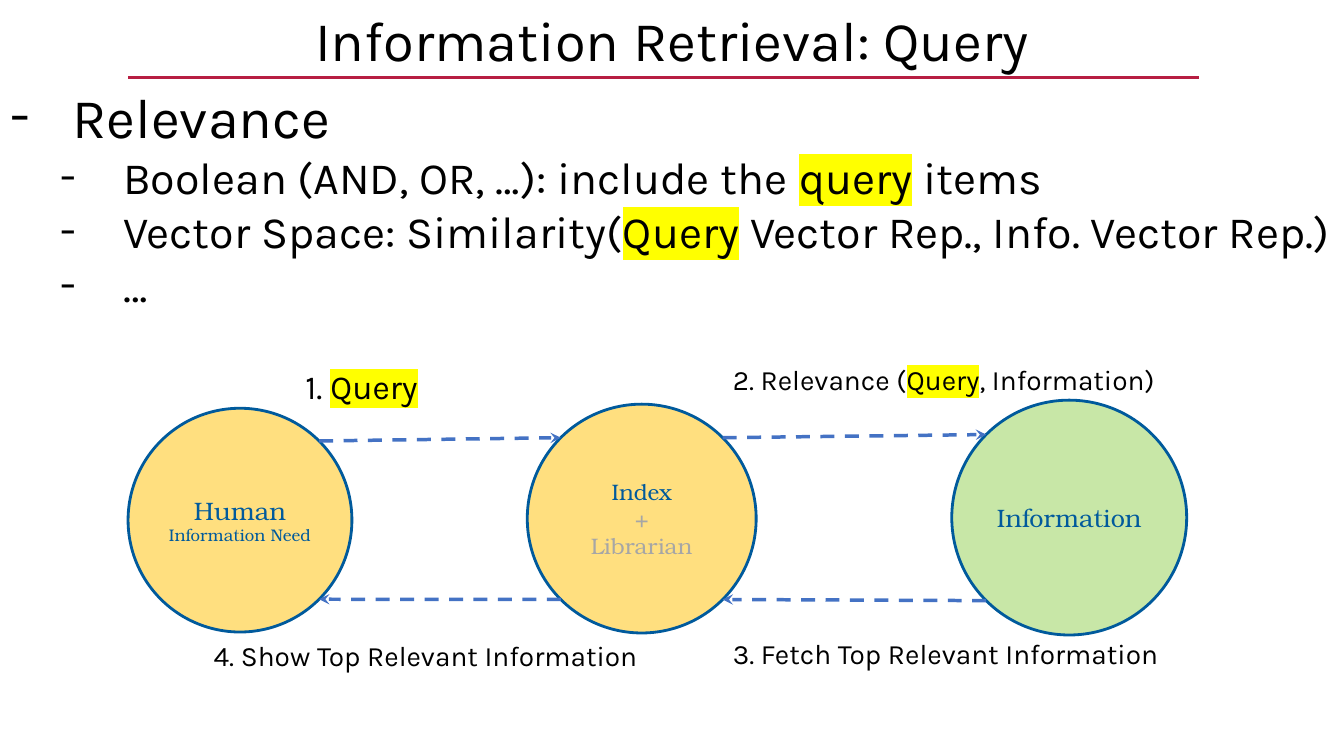
from dataclasses import dataclass
from math import sqrt

from lxml import etree
from pptx import Presentation
from pptx import util as u
from pptx.dml import color
from pptx.enum import dml, shapes, text
from pptx.oxml import ns


@dataclass(frozen=True)
class Theme:
    sans: str = "Karla"
    serif: str = "TeX Gyre Bonum"
    ink: str = "000000"
    rule: str = "B71E42"
    outline: str = "005A9C"
    label: str = "015A9C"
    muted: str = "A6A6A6"
    arrow: str = "4472C4"
    gold: str = "FFC000"
    green: str = "92D050"
    mark: str = "FFFF00"
    heading: int = 40
    item: int = 32
    query: int = 24
    caption: int = 20
    node: int = 18
    index: int = 16
    detail: int = 12


THEME = Theme()


def rgb(value):
    return color.RGBColor.from_string(value)


def add_xml(parent, tag, **attributes):
    return etree.SubElement(parent, ns.qn(tag), attributes)


def write(para, words, size, font=THEME.sans, ink=THEME.ink, align=None):
    """Fill a paragraph; words between asterisks are highlighted."""
    para.alignment = align
    para.line_spacing = 1.0
    para.space_before = u.Pt(0)
    for number, part in enumerate(words.split("*")):
        span = para.add_run()
        span.text = part
        span.font.size = u.Pt(size)
        span.font.color.rgb = rgb(ink)
        if number % 2:
            highlight = add_xml(span.font._element, "a:highlight")
            add_xml(highlight, "a:srgbClr", val=THEME.mark)
        span.font.name = font


def place(box, left, top, width, height):
    box.left, box.top = u.Inches(left), u.Inches(top)
    box.width, box.height = u.Inches(width), u.Inches(height)
    frame = box.text_frame
    frame.word_wrap = True
    frame.auto_size = text.MSO_AUTO_SIZE.NONE
    frame.vertical_anchor = text.MSO_ANCHOR.TOP
    return frame


def add_line(page, start, end, ink):
    points = [u.Inches(value) for value in (*start, *end)]
    line = page.shapes.add_connector(shapes.MSO_CONNECTOR.STRAIGHT, *points)
    line.line.color.rgb = rgb(ink)
    line.line.width = u.Pt(2.5)
    add_xml(line._element.spPr, "a:effectLst")
    return line


# Title with its rule
def add_title(page, left, top, width, height):
    frame = place(page.shapes.title, left, top, width, height)
    write(frame.paragraphs[0], "Information Retrieval: Query", THEME.heading,
          align=text.PP_ALIGN.CENTER)
    bottom = top + height
    add_line(page, (left + 1.27, bottom), (left + 11.89, bottom), THEME.rule)


# Dashed list
def add_list(page, left, top, width, height):
    frame = place(page.placeholders[1], left, top, width, height)
    items = [
        (0, "Relevance"),
        (1, "Boolean (AND, OR, …): include the *query* items"),
        (1, "Vector Space: Similarity(*Query* Vector Rep., Info. Vector Rep.)"),
        (1, "…"),
    ]
    for number, (level, words) in enumerate(items):
        para = frame.add_paragraph() if number else frame.paragraphs[0]
        para.level = level
        write(para, words, THEME.item if level else THEME.heading)
        props = para._p.get_or_add_pPr()
        props.set("marL", str(u.Inches(0.62 + 0.5 * level)))
        props.set("indent", str(u.Inches(-0.62)))
        add_xml(props, "a:buFont", typeface=THEME.sans)
        add_xml(props, "a:buChar", char="-")


def add_circle(page, left, top, size, fill, lines):
    sides = [u.Inches(value) for value in (left, top, size, size)]
    circle = page.shapes.add_shape(shapes.MSO_SHAPE.OVAL, *sides)
    circle.shadow.inherit = False
    circle.fill.solid()
    circle.fill.fore_color.rgb = rgb(fill)
    tint = circle._element.spPr.find(".//" + ns.qn("a:srgbClr"))
    add_xml(tint, "a:alpha", val="50000")
    circle.line.color.rgb = rgb(THEME.outline)
    circle.line.width = u.Pt(2)
    frame = circle.text_frame
    frame.margin_left = frame.margin_right = 0
    frame.margin_top = frame.margin_bottom = 0
    frame.vertical_anchor = text.MSO_ANCHOR.MIDDLE
    for number, (words, size, ink) in enumerate(lines):
        para = frame.add_paragraph() if number else frame.paragraphs[0]
        write(para, words, size, THEME.serif, ink, text.PP_ALIGN.CENTER)


def diagonal(circle, across, down):
    """Point on a circle's edge at 45 degrees; across and down are -1 or 1."""
    left, top, size = circle
    reach = size / 2 * sqrt(0.5)
    middle = size / 2
    return left + middle + across * reach, top + middle + down * reach


def add_arrow(page, start, end):
    arrow = add_line(page, start, end, THEME.arrow)
    arrow.line.dash_style = dml.MSO_LINE.DASH
    add_xml(arrow.line._get_or_add_ln(), "a:tailEnd", type="stealth")


# Retrieval cycle: circles, arrows and step captions
def add_cycle(page, left, top):
    human = (left, top + 0.5, 2.22)
    index = (left + 3.96, top + 0.46, 2.27)
    information = (left + 8.17, top + 0.42, 2.33)
    add_circle(page, *human, THEME.gold, [
        ("Human", THEME.node, THEME.label),
        ("Information Need", THEME.detail, THEME.label)])
    add_circle(page, *index, THEME.gold, [
        ("Index", THEME.index, THEME.label),
        ("+", THEME.index, THEME.muted),
        ("Librarian", THEME.index, THEME.muted)])
    add_circle(page, *information, THEME.green, [
        ("Information", THEME.node, THEME.label)])

    for near, far in ((human, index), (index, information)):
        add_arrow(page, diagonal(near, 1, -1), diagonal(far, -1, -1))
        add_arrow(page, diagonal(far, -1, 1), diagonal(near, 1, 1))

    captions = [
        ("1. *Query*", 1.66, 0.03, 1.7, 0.5, THEME.query),
        ("2. Relevance (*Query*, Information)", 5.9, 0, 4.8, 0.44, THEME.caption),
        ("3. Fetch Top Relevant Information", 5.9, 2.72, 4.8, 0.44, THEME.caption),
        ("4. Show Top Relevant Information", 0.75, 2.74, 6.03, 0.44, THEME.caption),
    ]
    for words, across, down, width, height, size in captions:
        box = page.shapes.add_textbox(0, 0, 0, 0)
        frame = place(box, left + across, top + down, width, height)
        write(frame.paragraphs[0], words, size)


def main():
    deck = Presentation()
    deck.slide_width, deck.slide_height = u.Inches(13.33), u.Inches(7.5)
    page = deck.slides.add_slide(deck.slide_layouts[1])
    add_title(page, 0, 0, 13.33, 0.77)
    add_list(page, 0, 0.77, 13.33, 2.39)
    add_cycle(page, 1.27, 3.55)
    deck.save("out.pptx")


if __name__ == "__main__":
    main()
